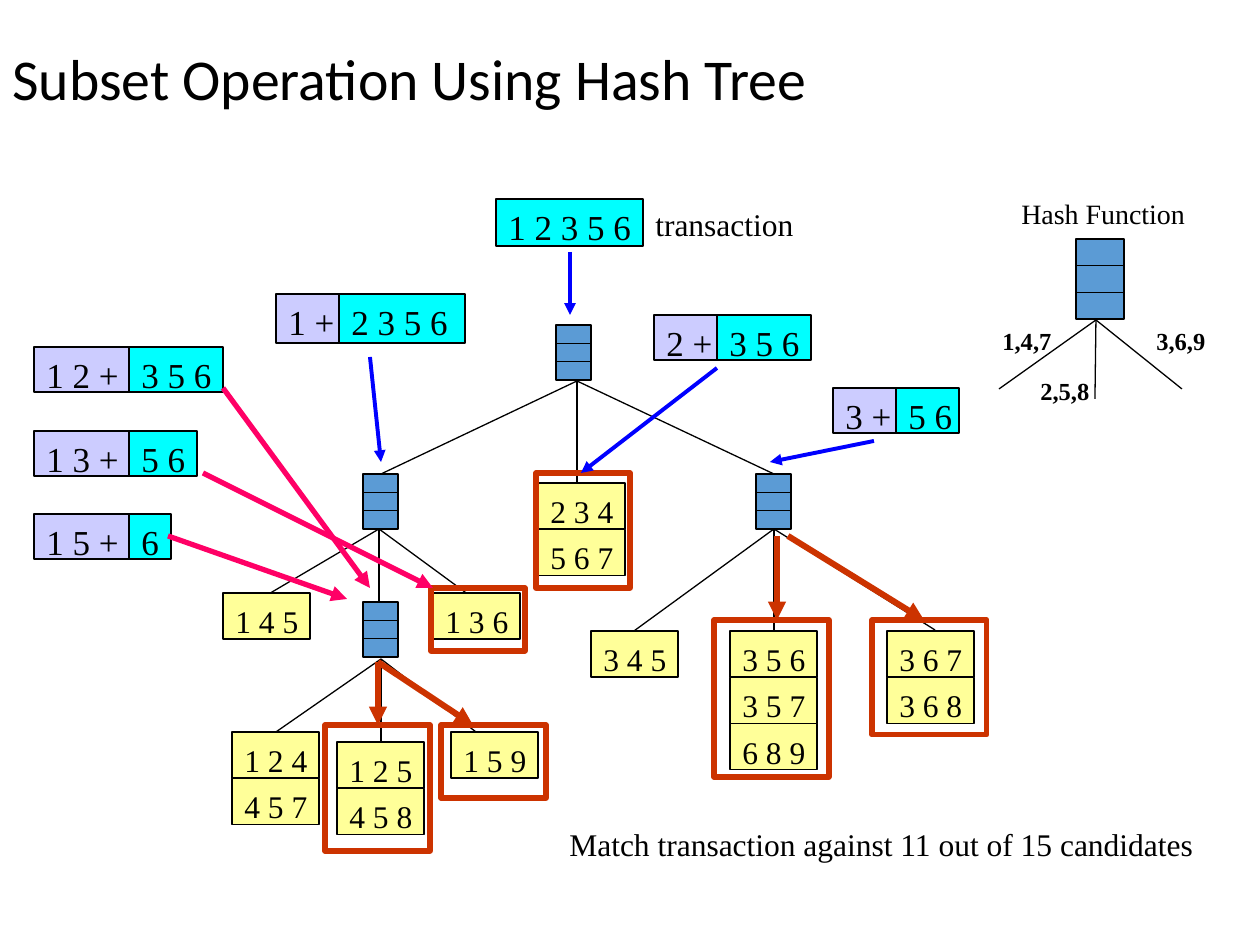
from dataclasses import dataclass

from lxml.etree import SubElement
from pptx import Presentation
from pptx.dml.color import RGBColor
from pptx.enum.shapes import MSO_CONNECTOR, MSO_SHAPE
from pptx.enum.text import MSO_ANCHOR, MSO_AUTO_SIZE
from pptx.oxml.ns import qn
from pptx.util import Emu, Pt

SCALE = 914400 // 126


@dataclass(frozen=True)
class Theme:
    """Colours, fonts and type sizes."""
    ink: str = "000000"
    node: str = "5B9BD5"
    leaf: str = "FFFF99"
    prefix: str = "CCCCFF"
    rest: str = "00FFFF"
    root: str = "0000FF"
    deep: str = "FF0066"
    match: str = "CC3300"
    head: str = "Calibri"
    body: str = "Times New Roman"
    title: int = 33
    label: int = 20
    text: int = 18
    note: int = 16
    key: int = 14
    thin: float = 0.75
    frame: float = 3


def emu(*vals):
    """Turn pixels into EMU."""
    return [Emu(round(v * SCALE)) for v in vals]


def assign(target, values):
    """Set every attribute named in the dict."""
    for name, value in values.items():
        setattr(target, name, value)


class Canvas:
    """Draws styled elements on one slide."""

    def __init__(self, slide, theme):
        """Keep the slide and its style."""
        self.shapes = slide.shapes
        self.theme = theme

    def line(self, start, end, color=None, width=None, arrow=False):
        """Draw a straight line, with an arrowhead at its end if asked."""
        link = self.shapes.add_connector(MSO_CONNECTOR.STRAIGHT, *emu(*start, *end))
        link.line.color.rgb = RGBColor.from_string(color or self.theme.ink)
        link.line.width = Pt(width or self.theme.thin)
        if arrow:
            SubElement(link.line._get_or_add_ln(), qn("a:tailEnd"), type="triangle")
        SubElement(link._element.spPr, qn("a:effectLst"))

    def rect(self, x, y, w, h, fill=None, color=None, width=None):
        """Draw a rectangle, hollow when no fill is given."""
        box = self.shapes.add_shape(MSO_SHAPE.RECTANGLE, *emu(x, y, w, h))
        box.shadow.inherit = False
        if fill:
            box.fill.solid()
            box.fill.fore_color.rgb = RGBColor.from_string(fill)
        else:
            box.fill.background()
        box.line.color.rgb = RGBColor.from_string(color or self.theme.ink)
        box.line.width = Pt(width or self.theme.thin)

    def text(self, words, x, y, w, h, size, frame=None, para=None, **font):
        """Write one line of text."""
        area = self.shapes.add_textbox(*emu(x, y, w, h)).text_frame
        area.text = words
        first = area.paragraphs[0]
        base = {"name": self.theme.body, "size": Pt(size), "bold": False}
        assign(area, {"word_wrap": False, "auto_size": MSO_AUTO_SIZE.NONE} | (frame or {}))
        assign(first, para or {})
        assign(first.runs[0].font, base | font)
        first.runs[0].font.color.rgb = RGBColor.from_string(self.theme.ink)

    def node(self, x, y, w=35, h=55):
        """Draw a tree node split in three slots."""
        self.rect(x, y, w, h, self.theme.node)
        for third in (1, 2):
            level = y + h * third / 3
            self.line((x, level), (x + w, level))

    def leaf(self, x, y, rows):
        """Stack candidate item sets."""
        for i, words in enumerate(rows):
            top = y + 46.3 * i
            self.rect(x, top, 87, 46, self.theme.leaf)
            self.text(words, x, top + 3, 88, 50, self.theme.text)

    def label(self, words, x, y):
        """Write the items of a transaction."""
        width = 16 + 53 * len(words.split()) // 2
        self.text(words, x, y, width, 54, self.theme.label)

    def pair(self, x, y, cut, end, h, prefix, rest):
        """Draw a prefix box followed by the remaining items."""
        self.rect(x, y, cut, h, self.theme.prefix)
        self.rect(x + cut, y, end, h, self.theme.rest)
        self.label(prefix, x, y)
        self.label(rest, x + cut, y)


FANS = [
    ((577, 381), [(381, 474), (577, 483), (774, 474)]),
    ((379, 529), [(267, 595), (379, 602), (469, 595)]),
    ((774, 529), [(634, 631), (774, 631), (935, 630)]),
    ((381, 659), [(276, 732), (381, 742), (476, 732)]),
    ((1096, 320), [(999, 389), (1095, 399), (1182, 389)]),
]
NODES = [(556, 325), (363, 474), (756, 474), (363, 602), (1076, 239, 48, 80)]
LEAVES = [
    (451, 732, ["1 5 9"]),
    (223, 593, ["1 4 5"]),
    (433, 593, ["1 3 6"]),
    (591, 631, ["3 4 5"]),
    (887, 631, ["3 6 7", "3 6 8"]),
    (730, 631, ["3 5 6", "3 5 7", "6 8 9"]),
    (538, 483, ["2 3 4", "5 6 7"]),
    (232, 732, ["1 2 4", "4 5 7"]),
    (337, 742, ["1 2 5", "4 5 8"]),
]
PAIRS = [
    (34, 347, 95, 94, 45, "1 2 +", "3 5 6"),
    (34, 431, 95, 68, 45, "1 3 +", "5 6"),
    (34, 514, 95, 42, 45, "1 5 +", "6"),
    (654, 315, 63, 94, 45, "2 +", "3 5 6"),
    (833, 388, 63, 63, 45, "3 +", "5 6"),
    (276, 294, 63, 126, 49, "1 +", "2 3 5 6"),
]
KEYS = [("1,4,7", 990, 320), ("2,5,8", 1028, 370), ("3,6,9", 1144, 320)]
FRAMES = [
    (325, 725, 105, 126), (441, 725, 105, 73), (536, 473, 94, 115),
    (431, 588, 94, 63), (714, 620, 115, 157), (872, 620, 115, 115),
]
ROOT = [
    ((570, 252), (570, 315)), ((370, 357), (381, 462)),
    ((717, 368), (581, 473)), ((874, 441), (770, 462)),
]
DEEP = [((223, 388), (370, 588)), ((168, 536), (347, 599)), ((203, 473), (433, 588))]
MATCH = [
    ((378, 662), (378, 725)), ((378, 662), (473, 725)),
    ((777, 536), (777, 620)), ((788, 536), (924, 620)),
]


def main():
    """Build the slide and save it."""
    deck = Presentation()
    deck.slide_width, deck.slide_height = emu(1260, 945)
    look = Theme()
    page = Canvas(deck.slides.add_slide(deck.slide_layouts[6]), look)

    page.text("Subset Operation Using Hash Tree", 0, 38, 1260, 88, look.title,
              {"word_wrap": True, "vertical_anchor": MSO_ANCHOR.MIDDLE},
              {"line_spacing": 0.9}, name=look.head)
    for start, ends in FANS:
        for end in ends:
            page.line(start, end)
    for spot in NODES:
        page.node(*spot)
    for leaf in LEAVES:
        page.leaf(*leaf)

    page.text("Hash Function", 1009, 190, 190, 47, look.note)
    for words, x, y in KEYS:
        page.text(words, x, y, 74, 42, look.key, bold=True)

    page.rect(496, 199, 147, 47, look.rest)
    page.label("1 2 3 5 6", 496, 199)
    page.text("transaction", 643, 199, 164, 50, look.text)
    for pair in PAIRS:
        page.pair(*pair)

    for frame in FRAMES:
        page.rect(*frame, color=look.match, width=look.frame)
    for color, width, links in ((look.root, 2.25, ROOT), (look.deep, 3, DEEP),
                                (look.match, 3.5, MATCH)):
        for start, end in links:
            page.line(start, end, color, width, arrow=True)
    page.text("Match transaction against 11 out of 15 candidates",
              557, 819, 663, 50, look.text, {"word_wrap": True})
    deck.save("out.pptx")


main()
